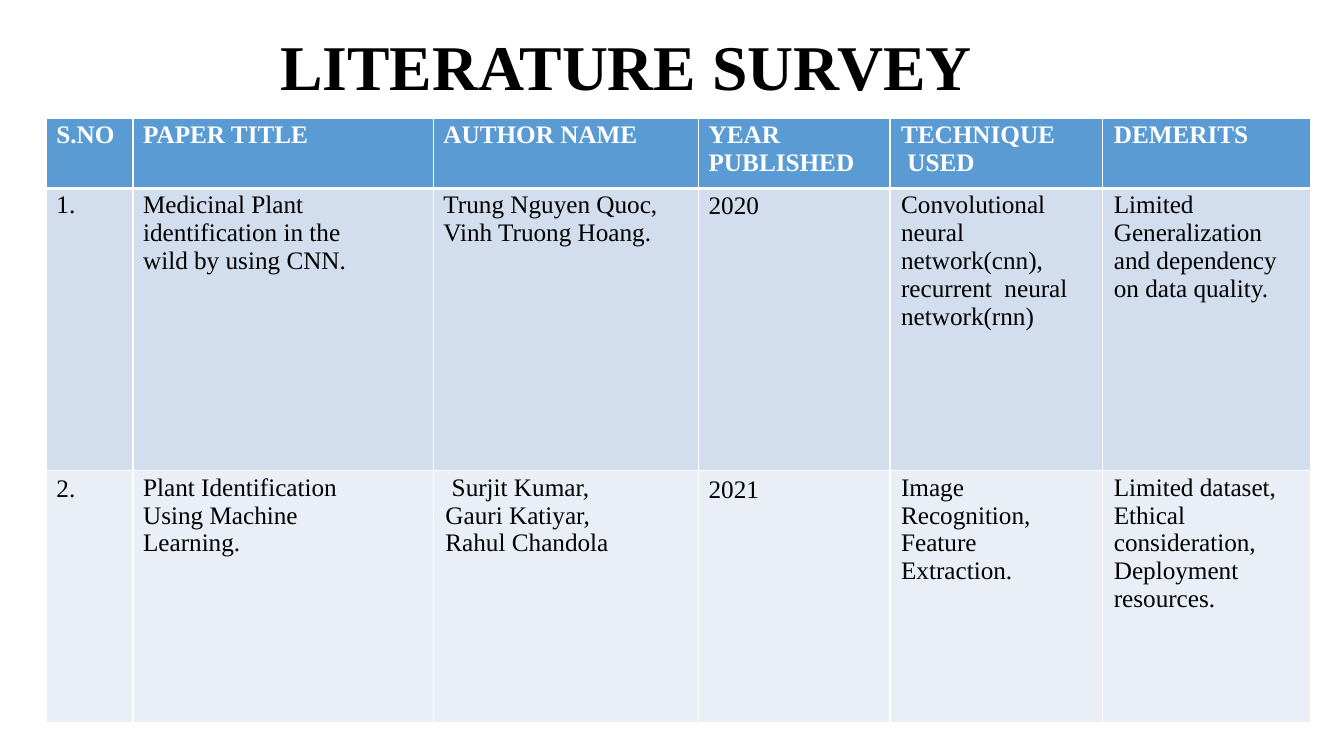
from dataclasses import dataclass

from lxml.etree import SubElement
from pptx import Presentation
from pptx.dml.color import RGBColor
from pptx.enum.text import MSO_ANCHOR, MSO_AUTO_SIZE, PP_ALIGN
from pptx.oxml.ns import qn
from pptx.slide import Slide
from pptx.table import Table, _Cell
from pptx.text.text import _Paragraph
from pptx.util import Inches, Pt

FACE = "Times New Roman"
WHITE, BLACK = "FFFFFF", "000000"
WIDE, HIGH = Inches(13.33), Inches(7.5)
# Percentages of the slide's width and height
COLS = (6.45, 22.35, 19.73, 14.25, 15.83, 15.45)


@dataclass
class Entry:
    text: str
    left: float = 0.1
    top: float = 0.03


@dataclass
class Band:
    high: float
    fill: str
    ink: str
    bold: bool
    over: float
    under: float
    cells: list[Entry]


BANDS = [
    Band(9.33, "5B9BD4", WHITE, True, 1, 3, [
        Entry("S.NO"),
        Entry("PAPER TITLE"),
        Entry("AUTHOR NAME"),
        Entry("YEAR PUBLISHED"),
        Entry("TECHNIQUE\v USED", 0.11),
        Entry("DEMERITS", 0.11),
    ]),
    Band(37.33, "D2DEEE", BLACK, False, 3, 1, [
        Entry("1."),
        Entry("Medicinal Plant\nidentification in the\nwild by using CNN."),
        Entry("Trung Nguyen Quoc,\nVinh Truong Hoang."),
        Entry("2020", top=0.04),
        Entry("Convolutional neural network(cnn), recurrent  neural network(rnn)", 0.11),
        Entry("Limited Generalization and dependency on data quality.", 0.11),
    ]),
    Band(33.33, "EAEEF7", BLACK, False, 1, 1, [
        Entry("2.", top=0.04),
        Entry("Plant Identification\nUsing Machine\nLearning."),
        Entry(" Surjit Kumar,\nGauri Katiyar,\nRahul Chandola", 0.12),
        Entry("2021", top=0.05),
        Entry("Image Recognition,\nFeature Extraction.", 0.11),
        Entry("Limited dataset,\nEthical consideration,\nDeployment\nresources.", 0.11),
    ]),
]


def across(share: float) -> int:
    return round(WIDE * share / 100)


def down(share: float) -> int:
    return round(HIGH * share / 100)


def color(code: str) -> RGBColor:
    return RGBColor.from_string(code)


def style(para: _Paragraph, size: float, ink: str, bold: bool) -> None:
    para.alignment = PP_ALIGN.LEFT
    para.line_spacing = 1.0
    font = para.font
    font.name, font.size, font.bold = FACE, Pt(size), bold
    font.color.rgb = color(ink)


def edge(cell: _Cell, over: float, under: float) -> None:
    """Draw the white borders of a cell; widths are in points."""
    props = cell._tc.get_or_add_tcPr()
    for side, width in (("L", 1), ("R", 1), ("T", over), ("B", under)):
        line = SubElement(props, qn(f"a:ln{side}"), w=str(Pt(width)))
        fill = SubElement(line, qn("a:solidFill"))
        SubElement(fill, qn("a:srgbClr"), val=WHITE)


def write(cell: _Cell, entry: Entry, band: Band) -> None:
    edge(cell, band.over, band.under)
    cell.fill.solid()
    cell.fill.fore_color.rgb = color(band.fill)
    cell.margin_left, cell.margin_top = Inches(entry.left), Inches(entry.top)
    cell.margin_right, cell.margin_bottom = Inches(0.15), 0
    cell.text = entry.text
    for para in cell.text_frame.paragraphs:
        style(para, 18, band.ink, band.bold)


def head(slide: Slide) -> None:
    title = slide.shapes.title
    title.left, title.top = across(20.85), down(3.33)
    title.width, title.height = across(51.84), down(10.4)
    frame = title.text_frame
    frame.auto_size = MSO_AUTO_SIZE.NONE
    frame.vertical_anchor = MSO_ANCHOR.BOTTOM
    frame.margin_left = frame.margin_right = 0
    frame.margin_top = frame.margin_bottom = 0
    frame.text = "LITERATURE SURVEY"
    style(frame.paragraphs[0], 45.5, BLACK, True)


def survey(slide: Slide) -> None:
    high = sum(band.high for band in BANDS)
    table: Table = slide.shapes.add_table(
        len(BANDS), len(COLS), across(3.45), down(15.6),
        across(sum(COLS)), down(high)).table
    table.horz_banding = False
    for col, share in zip(table.columns, COLS):
        col.width = across(share)
    for row, band in zip(table.rows, BANDS):
        row.height = down(band.high)
        for cell, entry in zip(row.cells, band.cells):
            write(cell, entry, band)


def main() -> None:
    deck = Presentation()
    deck.slide_width, deck.slide_height = WIDE, HIGH
    slide = deck.slides.add_slide(deck.slide_layouts[5])
    head(slide)
    survey(slide)
    deck.save("out.pptx")


if __name__ == "__main__":
    main()
